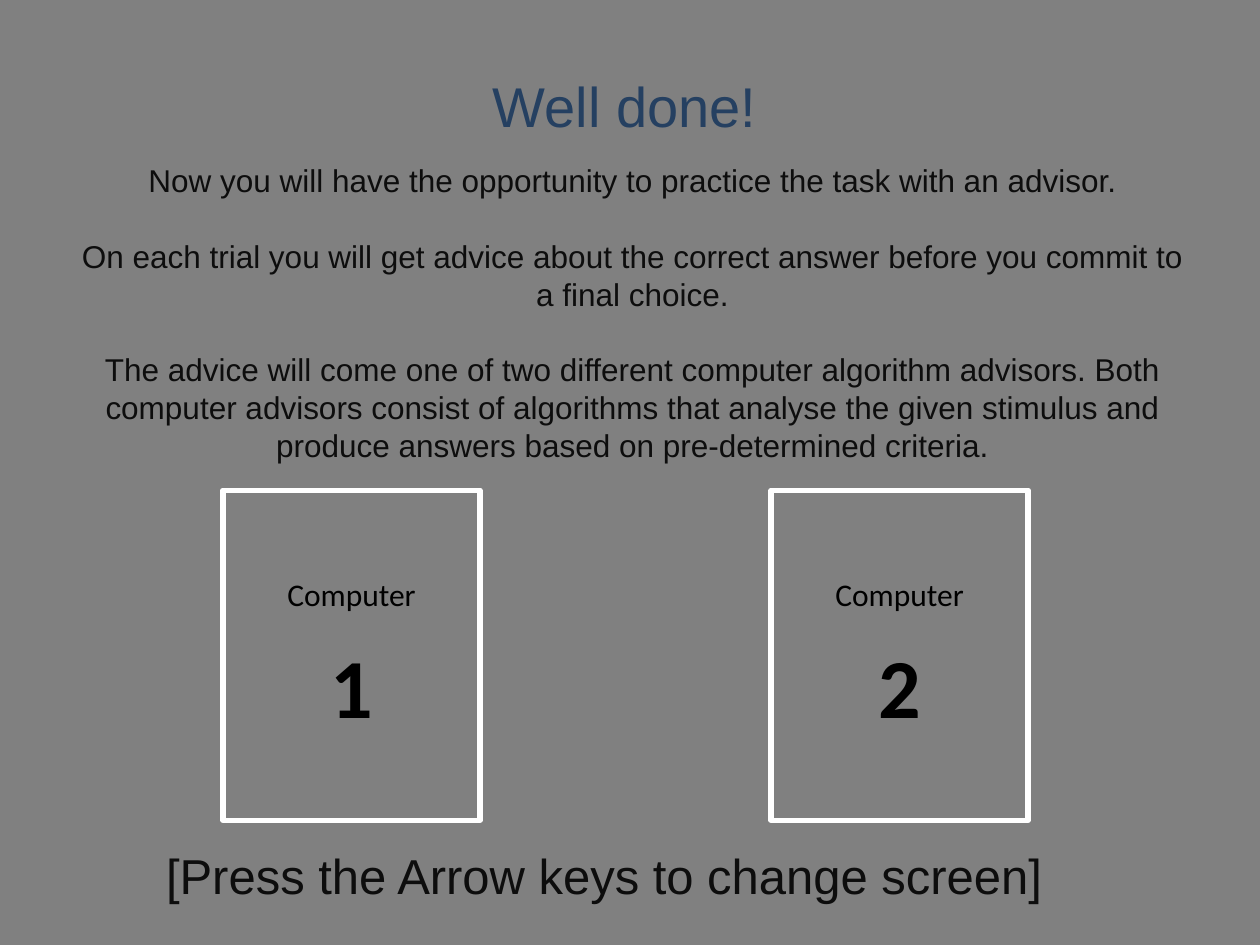
from dataclasses import dataclass

from pptx import Presentation
from pptx.dml.color import RGBColor
from pptx.enum.shapes import MSO_SHAPE
from pptx.enum.text import MSO_ANCHOR as Anchor, MSO_AUTO_SIZE as AutoSize, PP_ALIGN as Align
from pptx.util import Inches, Pt

GREY = RGBColor(0x80, 0x80, 0x80)
NAVY = RGBColor(0x25, 0x40, 0x61)
INK = RGBColor(0x0D, 0x0D, 0x0D)
BLACK = RGBColor(0, 0, 0)
WHITE = RGBColor(0xFF, 0xFF, 0xFF)


@dataclass
class Advisor:
    number: str
    left: float


INSTRUCTIONS = [
    "Now you will have the opportunity to practice the task with an advisor.",
    "On each trial you will get advice about the correct answer before you commit to a final choice.",
    "The advice will come one of two different computer\u00a0algorithm advisors. Both computer advisors "
    "consist of algorithms that analyse the given stimulus and produce answers based on "
    "pre-determined criteria.",
]
ADVISORS = [Advisor("1", 1.77), Advisor("2", 6.12)]


def write(paragraph, text: str, *, size: float, color: RGBColor = INK, font: str = "Arial",
          bold: bool = False, align: Align = Align.CENTER, after: float = 0) -> None:
    paragraph.alignment = align
    paragraph.space_after = Pt(after)
    run = paragraph.add_run()
    run.text = text
    run.font.size = Pt(size)
    run.font.name = font
    run.font.bold = bold
    run.font.color.rgb = color


def place(shape, left: float, top: float, width: float, height: float) -> None:
    shape.left, shape.top = Inches(left), Inches(top)
    shape.width, shape.height = Inches(width), Inches(height)


def add_text(slide, left: float, top: float, width: float, height: float, wrap: bool):
    box = slide.shapes.add_textbox(Inches(left), Inches(top), Inches(width), Inches(height))
    box.text_frame.word_wrap = wrap
    box.text_frame.auto_size = AutoSize.SHAPE_TO_FIT_TEXT
    return box.text_frame


def add_advisor(slide, advisor: Advisor) -> None:
    card = slide.shapes.add_shape(MSO_SHAPE.RECTANGLE, Inches(advisor.left), Inches(3.89),
                                  Inches(2.04), Inches(2.62))
    card.shadow.inherit = False
    card.fill.background()
    card.line.color.rgb = WHITE
    card.line.width = Pt(3)
    frame = card.text_frame
    frame.vertical_anchor = Anchor.MIDDLE
    write(frame.paragraphs[0], "Computer", size=18, color=BLACK, font="Calibri", after=12)
    write(frame.add_paragraph(), advisor.number, size=48, color=BLACK, font="Calibri", bold=True)


deck = Presentation()
deck.slide_width, deck.slide_height = Inches(10), Inches(7.5)
slide = deck.slides.add_slide(deck.slide_layouts[5])
slide.background.fill.solid()
slide.background.fill.fore_color.rgb = GREY

prompt = add_text(slide, 1.22, 6.66, 7.24, 0.57, wrap=False)
write(prompt.paragraphs[0], "[Press the Arrow keys to change screen]", size=28, align=Align.LEFT)

instructions = add_text(slide, 0.54, 1.23, 8.96, 2.52, wrap=True)
for index, sentence in enumerate(INSTRUCTIONS):
    paragraph = instructions.add_paragraph() if index else instructions.paragraphs[0]
    is_last = index == len(INSTRUCTIONS) - 1
    write(paragraph, sentence, size=18, after=0 if is_last else 21.6)

heading = slide.shapes.title
place(heading, 3.81, 0.52, 2.31, 0.64)
heading.text_frame.word_wrap = False
heading.text_frame.auto_size = AutoSize.SHAPE_TO_FIT_TEXT
heading.text_frame.vertical_anchor = Anchor.TOP
write(heading.text_frame.paragraphs[0], "Well done!", size=32, color=NAVY, align=Align.LEFT)

for advisor in ADVISORS:
    add_advisor(slide, advisor)

deck.save("out.pptx")
